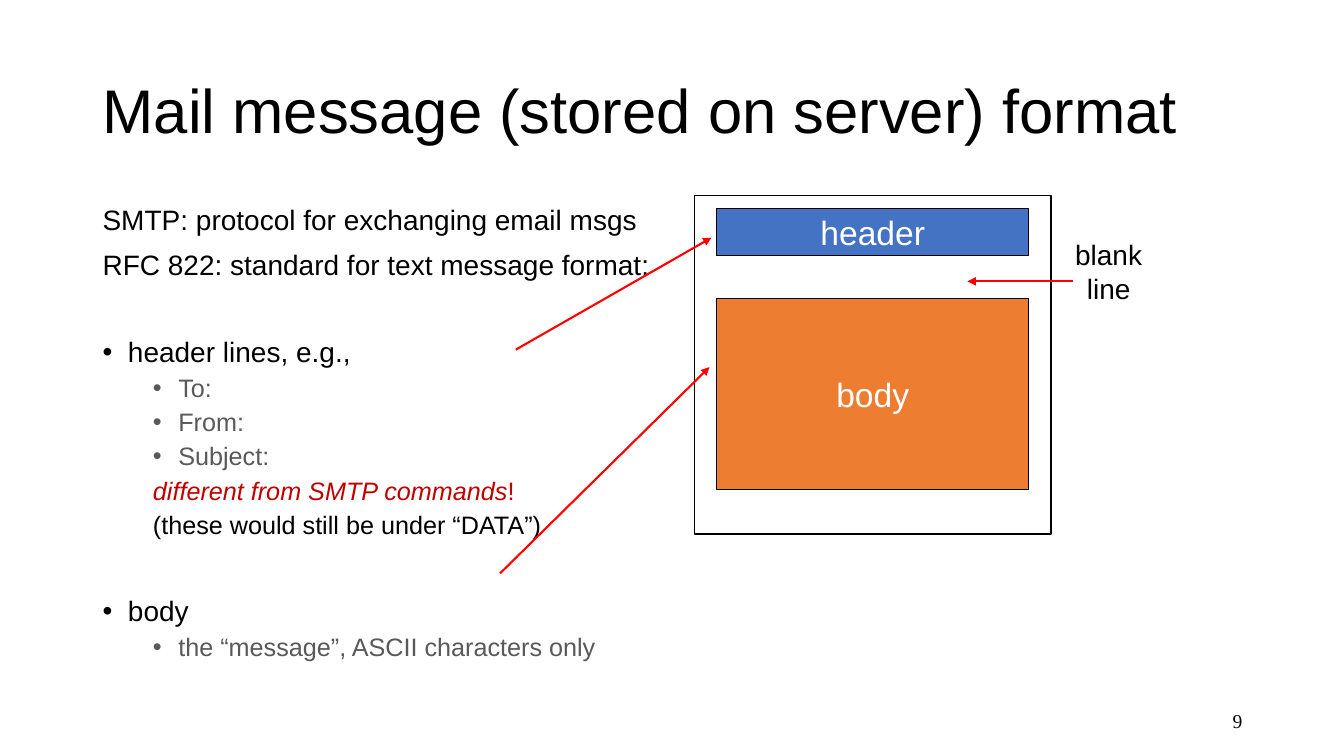
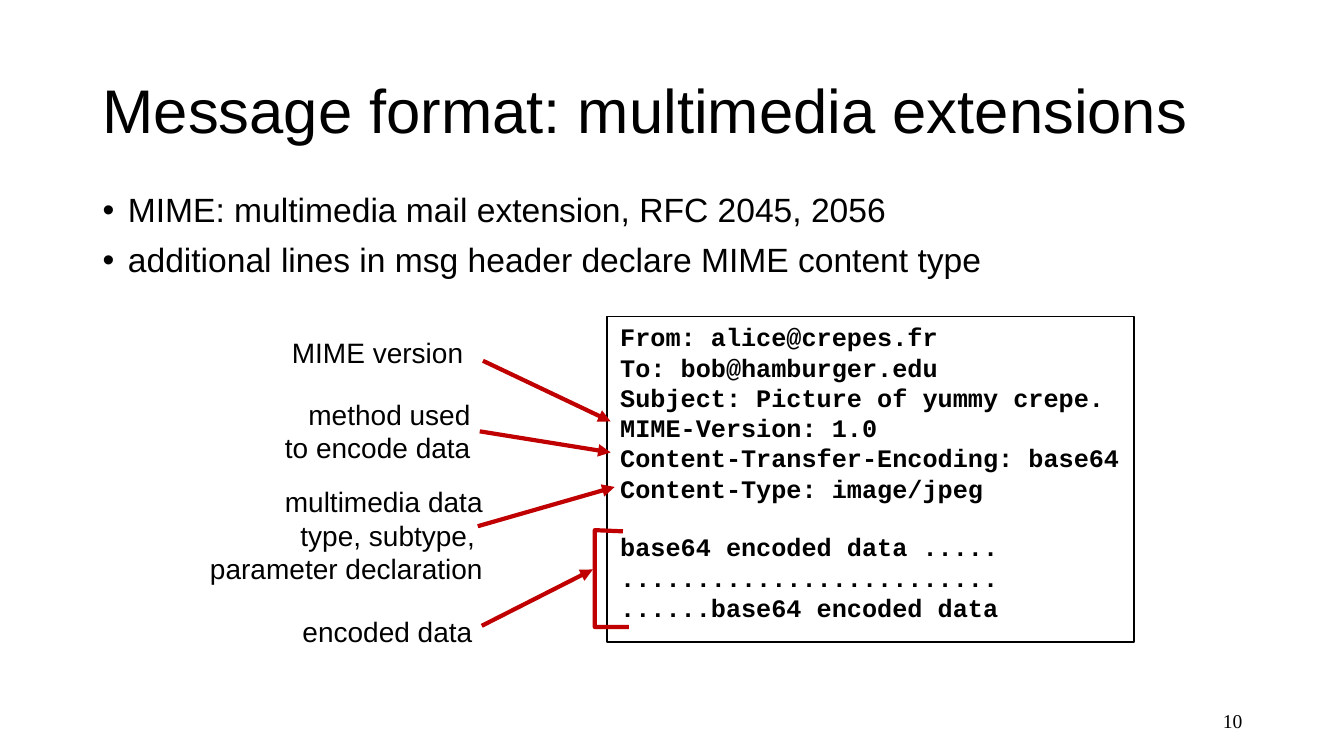
from dataclasses import dataclass
from typing import Optional

from pptx import Presentation
from pptx.dml.color import RGBColor
from pptx.enum import shapes, text
from pptx.oxml import xmlchemy
from pptx.oxml.ns import qn
from pptx.util import Cm, Pt
from lxml import etree

BLACK = RGBColor(0x00, 0x00, 0x00)
WHITE = RGBColor(0xFF, 0xFF, 0xFF)
GREY = RGBColor(0x59, 0x59, 0x59)
RED = RGBColor(0xFF, 0x00, 0x00)
DARK_RED = RGBColor(0xC0, 0x00, 0x00)
BLUE = RGBColor(0x44, 0x72, 0xC4)
ORANGE = RGBColor(0xED, 0x7D, 0x31)

SANS = "Arial"
SERIF = "Times New Roman"
MONO = "Courier New"

LEFT = text.PP_ALIGN.LEFT
CENTER = text.PP_ALIGN.CENTER
RIGHT = text.PP_ALIGN.RIGHT


@dataclass(frozen=True)
class Area:
    left: float
    top: float
    width: float
    height: float

    def lengths(self) -> tuple:
        return Cm(self.left), Cm(self.top), Cm(self.width), Cm(self.height)


@dataclass(frozen=True)
class Style:
    size: float
    color: RGBColor = BLACK
    font: str = SANS
    bold: bool = False
    italic: bool = False


@dataclass(frozen=True)
class Span:
    words: str
    style: Style


@dataclass(frozen=True)
class Item:
    spans: tuple
    level: int = 0
    bullet: bool = True
    before: float = 10


@dataclass(frozen=True)
class Label:
    area: Area
    lines: tuple
    align: text.PP_ALIGN = RIGHT


@dataclass(frozen=True)
class Block:
    area: Area
    fill: Optional[RGBColor] = None
    caption: str = ""
    line_width: float = 0.75


@dataclass(frozen=True)
class Arrow:
    start: tuple
    end: tuple


TITLE_AREA = Area(2.33, 1.01, 29.21, 3.68)
NUMBER_AREA = Area(23.94, 17.65, 7.62, 1.01)
TITLE = Style(44)
NUMBER = Style(14, font=SERIF)
LARGE = Style(24)
MAIN = Style(20)
DETAIL = Style(18, GREY)
REMARK = Style(18)
WARNING = Style(18, DARK_RED)
EMPHASIS = Style(18, DARK_RED, italic=True)
CAPTION = Style(24, WHITE)
CODE = Style(18, font=MONO, bold=True)
SECTION_GAP = 41
CODE_GAP = 20.4


def add_span(para, words: str, style: Style) -> None:
    span = para.add_run()
    span.text = words
    span.font.name = style.font
    span.font.size = Pt(style.size)
    span.font.bold = style.bold
    span.font.italic = style.italic
    span.font.color.rgb = style.color


def next_para(frame, index: int):
    return frame.paragraphs[0] if index == 0 else frame.add_paragraph()


def write_lines(frame, lines: tuple, style: Style, align: text.PP_ALIGN) -> None:
    for index, words in enumerate(lines):
        para = next_para(frame, index)
        para.alignment = align
        add_span(para, words, style)


def place(box, area: Area) -> None:
    box.left, box.top, box.width, box.height = area.lengths()


def add_page(deck, title: str, number: int):
    page = deck.slides.add_slide(deck.slide_layouts[1])
    heading = page.shapes.title
    place(heading, TITLE_AREA)
    frame = heading.text_frame
    frame.auto_size = text.MSO_AUTO_SIZE.NONE
    frame.vertical_anchor = text.MSO_ANCHOR.MIDDLE
    write_lines(frame, (title,), TITLE, LEFT)
    frame.paragraphs[0].line_spacing = 0.9
    footer = page.shapes.add_textbox(*NUMBER_AREA.lengths()).text_frame
    footer.word_wrap = True
    footer.vertical_anchor = text.MSO_ANCHOR.MIDDLE
    write_lines(footer, (str(number),), NUMBER, RIGHT)
    return page


def fill_body(page, area: Area, items: tuple) -> None:
    box = page.placeholders[1]
    place(box, area)
    frame = box.text_frame
    frame.auto_size = text.MSO_AUTO_SIZE.NONE
    for index, item in enumerate(items):
        para = next_para(frame, index)
        para.level = item.level
        para.alignment = LEFT
        properties = para._p.get_or_add_pPr()
        properties.set("marL", str(Cm(0.64 + 1.27 * item.level)))
        properties.set("indent", str(-Cm(0.64)))
        if item.bullet:
            etree.SubElement(properties, qn("a:buFont")).set("typeface", SANS)
            etree.SubElement(properties, qn("a:buChar")).set("char", "•")
        else:
            etree.SubElement(properties, qn("a:buNone"))
        para.line_spacing = 0.9
        para.space_before = Pt(item.before if index else 0)
        for span in item.spans:
            add_span(para, span.words, span.style)


def add_block(page, block: Block):
    box = page.shapes.add_shape(shapes.MSO_SHAPE.RECTANGLE, *block.area.lengths())
    box.shadow.inherit = False
    if block.fill is None:
        box.fill.background()
    else:
        box.fill.solid()
        box.fill.fore_color.rgb = block.fill
    box.line.color.rgb = BLACK
    box.line.width = Pt(block.line_width)
    if block.caption:
        box.text_frame.vertical_anchor = text.MSO_ANCHOR.MIDDLE
        write_lines(box.text_frame, (block.caption,), CAPTION, CENTER)
    return box


def add_label(page, label: Label) -> None:
    frame = page.shapes.add_textbox(*label.area.lengths()).text_frame
    frame.word_wrap = False
    frame.auto_size = text.MSO_AUTO_SIZE.SHAPE_TO_FIT_TEXT
    write_lines(frame, label.lines, MAIN, label.align)


def add_arrow(page, arrow: Arrow, color: RGBColor, width: float) -> None:
    ends = [Cm(value) for value in (*arrow.start, *arrow.end)]
    line = page.shapes.add_connector(shapes.MSO_CONNECTOR.STRAIGHT, *ends)
    line.line.color.rgb = color
    line.line.width = Pt(width)
    etree.SubElement(line.line._get_or_add_ln(), qn("a:tailEnd")).set("type", "triangle")
    etree.SubElement(line._element.spPr, qn("a:effectLst"))


def add_bracket(page, points: tuple) -> None:
    corners = [(Cm(x), Cm(y)) for x, y in points]
    builder = page.shapes.build_freeform(*corners[0])
    builder.add_line_segments(corners[1:], close=False)
    bracket = builder.convert_to_shape()
    bracket.shadow.inherit = False
    bracket.fill.background()
    bracket.line.color.rgb = DARK_RED
    bracket.line.width = Pt(3)


def main_item(words: str, style: Style = MAIN, bullet: bool = True, before: float = 10) -> Item:
    return Item((Span(words, style),), bullet=bullet, before=before)


def detail_item(*spans: Span, bullet: bool = True) -> Item:
    return Item(spans, level=1, bullet=bullet, before=5)


def build_mail_format(deck) -> None:
    page = add_page(deck, "Mail message (stored on server) format", 9)
    fields = tuple(detail_item(Span(name, DETAIL)) for name in ("To:", "From:", "Subject:"))
    fill_body(page, Area(2.33, 5.08, 14.4, 12.09), (
        main_item("SMTP: protocol for exchanging email msgs", bullet=False),
        main_item("RFC 822: standard for text message format:", bullet=False),
        main_item("header lines, e.g.,", before=SECTION_GAP),
        *fields,
        detail_item(Span("different from SMTP commands", EMPHASIS), Span("!", WARNING), bullet=False),
        detail_item(Span("(these would still be under “DATA”)", REMARK), bullet=False),
        main_item("body", before=SECTION_GAP),
        detail_item(Span("the “message”, ASCII characters only", DETAIL)),
    ))
    for block in (
        Block(Area(18.06, 5.25, 7.87, 1.2), BLUE, "header"),
        Block(Area(18.06, 7.52, 7.87, 4.82), ORANGE, "body"),
        Block(Area(17.5, 4.93, 8.99, 8.53), line_width=1),
    ):
        add_block(page, block)
    add_label(page, Label(Area(26.82, 5.87, 2.24, 1.96), ("blank", "line"), CENTER))
    for arrow in (
        Arrow((13, 8.81), (17.93, 5.99)),
        Arrow((12.6, 14.45), (17.88, 9.25)),
        Arrow((27.05, 7.09), (24.38, 7.09)),
    ):
        add_arrow(page, arrow, RED, 1.5)


def build_multimedia(deck) -> None:
    page = add_page(deck, "Message format: multimedia extensions", 10)
    fill_body(page, Area(2.33, 4.75, 27.51, 12.9), (
        main_item("MIME: multimedia mail extension, RFC 2045, 2056", LARGE),
        main_item("additional lines in msg header declare MIME content type", LARGE),
    ))
    headers = (
        "From: alice@crepes.fr",
        "To: bob@hamburger.edu",
        "Subject: Picture of yummy crepe.",
        "MIME-Version: 1.0",
        "Content-Transfer-Encoding: base64",
        "Content-Type: image/jpeg",
    )
    content = (
        "base64 encoded data .....",
        ".........................",
        "......base64 encoded data",
    )
    message = add_block(page, Block(Area(15.3, 7.98, 13.28, 8.2), line_width=1))
    frame = message.text_frame
    frame.margin_left, frame.margin_right = Cm(0.33), Cm(0)
    frame.vertical_anchor = text.MSO_ANCHOR.TOP
    write_lines(frame, headers + content, CODE, LEFT)
    frame.paragraphs[len(headers)].space_before = Pt(CODE_GAP)
    for label in (
        Label(Area(7.09, 8.33, 4.85, 1.12), ("MIME version",), CENTER),
        Label(Area(6.73, 9.88, 5.38, 1.96), ("method used", "to encode data")),
        Label(Area(4.98, 12.09, 7.44, 2.82),
              ("multimedia data", "type, subtype, ", "parameter declaration")),
        Label(Area(7.29, 15.37, 4.95, 1.12), ("encoded data",), CENTER),
    ):
        add_label(page, label)
    for arrow in (
        Arrow((12.17, 9.09), (15.39, 10.62)),
        Arrow((12.09, 10.87), (15.39, 11.4)),
        Arrow((12.04, 13.26), (15.49, 12.27)),
        Arrow((12.14, 15.77), (14.94, 14.35)),
    ):
        add_arrow(page, arrow, DARK_RED, 3)
    add_bracket(page, ((15.7, 13.39), (14.99, 13.36), (14.99, 15.8), (15.85, 15.8)))


def main() -> None:
    deck = Presentation()
    deck.slide_width, deck.slide_height = Cm(33.87), Cm(19.05)
    build_mail_format(deck)
    build_multimedia(deck)
    deck.save("out.pptx")


if __name__ == "__main__":
    main()
